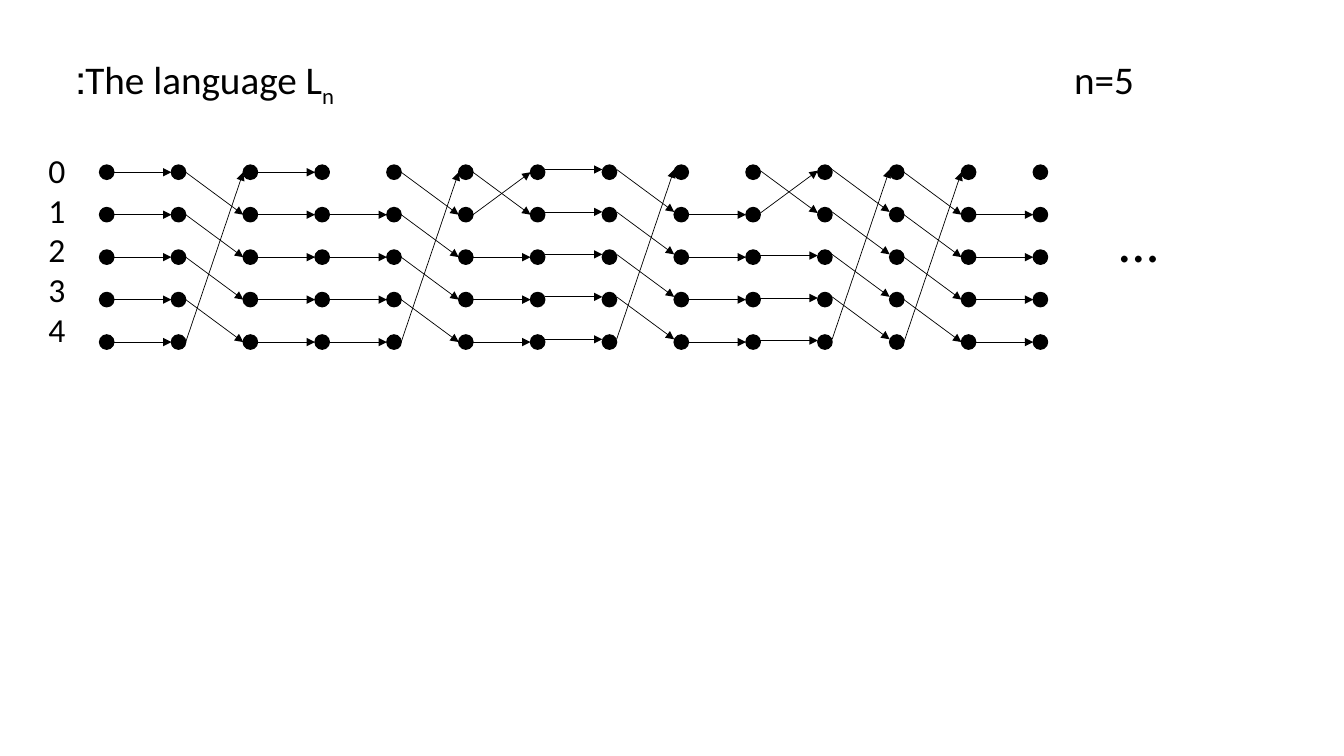
import pptx
import pptx.dml.color
import pptx.enum.shapes
import pptx.enum.text
import pptx.oxml
import pptx.oxml.ns
import pptx.util

Cm = pptx.util.Cm
Pt = pptx.util.Pt

COLORS = {"ink": "000000"}
ROWS = 5
COLUMNS = 14
DOT = 0.36
DOT_LEFT, DOT_TOP = 2.51, 4.16
COLUMN_PITCH, ROW_PITCH = 1.81, 1.07

STRAIGHT = {row: row for row in range(ROWS)}
LOWER = {row: row for row in range(1, ROWS)}
ROTATE = {row: (row + 1) % ROWS for row in range(ROWS)}
SWAP = {**STRAIGHT, 0: 1, 1: 0}
STEPS = [STRAIGHT, ROTATE, STRAIGHT, LOWER, ROTATE, SWAP, STRAIGHT,
         ROTATE, LOWER, SWAP, ROTATE, ROTATE, LOWER]
LIFTS = {6: 0.07, 7: 0.07, 9: 0.04, 10: 0.07}


class Slide:
    font = "Calibri"
    ink = pptx.dml.color.RGBColor.from_string(COLORS["ink"])

    def __init__(self, deck):
        self.page = deck.slides.add_slide(deck.slide_layouts[5])

    def style(self, para, size):
        para.alignment = pptx.enum.text.PP_ALIGN.LEFT
        para.font.name = self.font
        para.font.size = Pt(size)
        para.font.color.rgb = self.ink

    def title(self, spans, left, top, width, height, size):
        box = self.page.shapes.title
        box.left, box.top, box.width, box.height = map(Cm, (left, top, width, height))
        frame = box.text_frame
        frame.word_wrap = True
        frame.vertical_anchor = pptx.enum.text.MSO_ANCHOR.TOP
        frame.auto_size = pptx.enum.text.MSO_AUTO_SIZE.SHAPE_TO_FIT_TEXT
        para = frame.paragraphs[0]
        for text, baseline in spans:
            span = para.add_run()
            span.text = text
            if baseline:
                span._r.get_or_add_rPr().set("baseline", str(baseline * 1000))
        self.style(para, size)
        para._p.get_or_add_pPr().set("rtl", "1")

    def text(self, lines, left, top, width, height, size, spacing=None, before=0):
        box = self.page.shapes.add_textbox(*map(Cm, (left, top, width, height)))
        frame = box.text_frame
        frame.word_wrap = True
        for index, line in enumerate(lines):
            para = frame.add_paragraph() if index else frame.paragraphs[0]
            para.text = line
            self.style(para, size)
            if spacing:
                para.line_spacing = spacing
            if index:
                para.space_before = Pt(before)

    def dot(self, left, top):
        dot = self.page.shapes.add_shape(
            pptx.enum.shapes.MSO_SHAPE.OVAL, Cm(left), Cm(top), Cm(DOT), Cm(DOT))
        dot.shadow.inherit = False
        dot.fill.solid()
        dot.fill.fore_color.rgb = self.ink
        dot.line.color.rgb = self.ink
        dot.line.width = Pt(1)

    def arrow(self, *ends):
        arrow = self.page.shapes.add_connector(
            pptx.enum.shapes.MSO_CONNECTOR.STRAIGHT, *map(Cm, ends))
        arrow.line.color.rgb = self.ink
        arrow.line.width = Pt(0.5)
        head = pptx.oxml.parse_xml(
            f'<a:tailEnd {pptx.oxml.ns.nsdecls("a")} type="triangle"/>')
        arrow.line._get_or_add_ln().append(head)
        arrow._element.spPr.append(
            pptx.oxml.parse_xml(f'<a:effectLst {pptx.oxml.ns.nsdecls("a")}/>'))


def column_left(column):
    return DOT_LEFT + column * COLUMN_PITCH


def row_top(row):
    return DOT_TOP + row * ROW_PITCH


def main():
    deck = pptx.Presentation()
    deck.slide_width, deck.slide_height = Cm(33.87), Cm(19.05)
    slide = Slide(deck)
    slide.title([("The language L", 0), ("n", -25), (":", 0)],
                1.65, 1.27, 25.53, 1.45, 28)
    slide.text(["n=5"], 26.82, 1.27, 4.45, 1.45, 28)
    slide.text([str(row) for row in range(ROWS)],
               0.97, 4.09, 1.14, 4.98, 24, spacing=0.5, before=14)
    slide.text(["..."], 27.91, 5.08, 2.26, 1.96, 40)

    for column in range(COLUMNS):
        for row in range(ROWS):
            slide.dot(column_left(column), row_top(row))

    for column, step in enumerate(STEPS):
        shift = DOT / 2 - LIFTS.get(column, 0)
        for source, target in step.items():
            slide.arrow(column_left(column) + DOT, row_top(source) + shift,
                        column_left(column + 1), row_top(target) + shift)

    deck.save("out.pptx")


if __name__ == "__main__":
    main()
